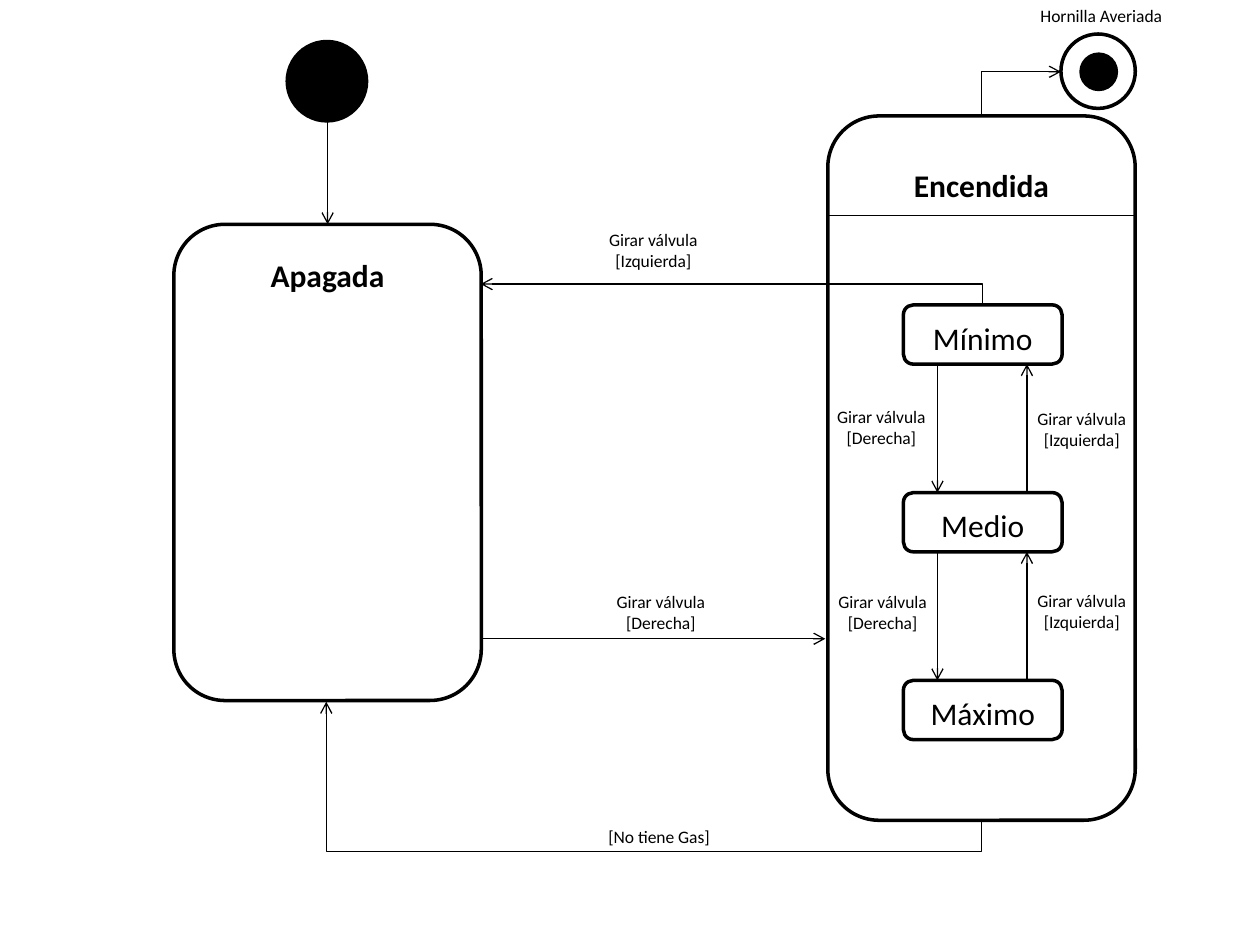
"""Build the state diagram of a gas burner."""
import pptx
import pptx.util
import pptx.dml.color
import pptx.enum.shapes
import pptx.enum.text
import pptx.oxml
import pptx.oxml.ns
from lxml import etree

Inches, Pt = pptx.util.Inches, pptx.util.Pt
MSO_SHAPE = pptx.enum.shapes.MSO_SHAPE
MSO_CONNECTOR = pptx.enum.shapes.MSO_CONNECTOR
MSO_ANCHOR = pptx.enum.text.MSO_ANCHOR
PP_ALIGN = pptx.enum.text.PP_ALIGN
qn = pptx.oxml.ns.qn
FONT, BLACK = "Calibri", "000000"

STATES = [
    ("Apagada", (1.38, 1.78, 2.44, 3.78), 0.13),
    ("Encendida", (6.57, 0.92, 2.44, 5.59), 0.28),
]
LEVELS = ["Mínimo", "Medio", "Máximo"]
LEVEL_X, LEVEL_Y, LEVEL_W, LEVEL_H, LEVEL_STEP = 7.17, 2.42, 1.26, 0.47, 1.49
DOWN_X, UP_X = 7.44, 8.15
CIRCLES = [
    ((2.28, 0.33, 0.63, 0.63), BLACK),
    ((8.42, 0.27, 0.59, 0.59), None),
    ((8.58, 0.43, 0.28, 0.28), BLACK),
]
RIGHT, LEFT = "Girar válvula\n[Derecha]", "Girar válvula\n[Izquierda]"
LABELS = [
    (LEFT, 4.73, 1.77, 0.91),
    (RIGHT, 4.79, 4.64, 0.91),
    (RIGHT, 6.54, 3.17, 0.91),
    (RIGHT, 6.55, 4.64, 0.91),
    (LEFT, 8.13, 3.19, 0.91),
    (LEFT, 8.13, 4.63, 0.91),
    ("Hornilla Averiada", 8.15, -0.01, 1.18),
    ("[No tiene Gas]", 4.72, 6.51, 1.02),
]
ARROWS = [(2.6, 0.96, 2.6, 1.78), (3.82, 5.07, 6.55, 5.07)]
ELBOWS = [
    ((5.72, 0.35, 0.17, 3.98), 270, "V", "bentConnector2", None),
    ((4.72, 3.44, 0.94, 5.2), 90, "H", "bentConnector3", -0.265),
    ((7.93, 0.43, 0.35, 0.63), 90, "HV", "bentConnector2", None),
]


def rgb(value):
    return pptx.dml.color.RGBColor.from_string(value)


def write(tf, text, size, bold=False):
    tf.text = text
    for p in tf.paragraphs:
        p.alignment = PP_ALIGN.CENTER
        p.font.name, p.font.size, p.font.bold = FONT, Pt(size), bold
        p.font.color.rgb = rgb(BLACK)


def add_outline(shapes, kind, box, fill=None):
    s = shapes.add_shape(kind, *map(Inches, box))
    s.shadow.inherit = False
    if fill:
        s.fill.solid()
        s.fill.fore_color.rgb = rgb(fill)
    else:
        s.fill.background()
    s.line.color.rgb = rgb(BLACK)
    s.line.width = Pt(2)
    return s


def add_line(shapes, ends, kind=MSO_CONNECTOR.STRAIGHT, arrow=True):
    c = shapes.add_connector(kind, *map(Inches, ends))
    c.line.color.rgb = rgb(BLACK)
    c.line.width = Pt(0.75)
    if arrow:
        etree.SubElement(c.line._get_or_add_ln(), qn("a:tailEnd"), type="arrow")
    etree.SubElement(c._element.spPr, qn("a:effectLst"))
    return c


def add_elbow(shapes, box, angle, flips, preset, bend):
    x, y, w, h = box
    c = add_line(shapes, (x, y, x + w, y + h), MSO_CONNECTOR.ELBOW)
    xfrm = c._element.spPr.find(qn("a:xfrm"))
    xfrm.set("rot", str(angle * 60000))
    for axis in flips:
        xfrm.set("flip" + axis, "1")
    geom = c._element.spPr.find(qn("a:prstGeom"))
    geom.set("prst", preset)
    if bend is not None:
        guides = geom.find(qn("a:avLst"))
        if guides is None:
            guides = etree.SubElement(geom, qn("a:avLst"))
        etree.SubElement(guides, qn("a:gd"), name="adj1", fmla=f"val {round(bend * 100000)}")


def add_label(shapes, text, x, y, w):
    height = 0.44 if "\n" in text else 0.27
    tf = shapes.add_textbox(*map(Inches, (x, y, w, height))).text_frame
    tf.word_wrap = False
    tf.auto_size = pptx.enum.text.MSO_AUTO_SIZE.SHAPE_TO_FIT_TEXT
    write(tf, text, 10)


prs = pptx.Presentation()
prs.slide_width, prs.slide_height = Inches(10), Inches(7.5)
shapes = prs.slides.add_slide(prs.slide_layouts[6]).shapes

for name, box, inset in STATES:
    tf = add_outline(shapes, MSO_SHAPE.ROUNDED_RECTANGLE, box).text_frame
    tf.vertical_anchor, tf.margin_top = MSO_ANCHOR.TOP, Inches(inset)
    write(tf, name, 18, True)
add_line(shapes, (6.57, 1.71, 9.02, 1.71), arrow=False)

for i, name in enumerate(LEVELS):
    top = LEVEL_Y + i * LEVEL_STEP
    box = (LEVEL_X, top, LEVEL_W, LEVEL_H)
    tf = add_outline(shapes, MSO_SHAPE.ROUNDED_RECTANGLE, box).text_frame
    tf.vertical_anchor = MSO_ANCHOR.MIDDLE
    tf.margin_top, tf.margin_bottom = Inches(0.05), Inches(0)
    write(tf, name, 18)
    if i < len(LEVELS) - 1:
        bottom, below = top + LEVEL_H, top + LEVEL_STEP
        add_line(shapes, (DOWN_X, bottom, DOWN_X, below))
        add_line(shapes, (UP_X, below, UP_X, bottom))

for box, fill in CIRCLES:
    add_outline(shapes, MSO_SHAPE.FLOWCHART_CONNECTOR, box, fill)
for ends in ARROWS:
    add_line(shapes, ends)
for elbow in ELBOWS:
    add_elbow(shapes, *elbow)
for label in LABELS:
    add_label(shapes, *label)

prs.save("out.pptx")
